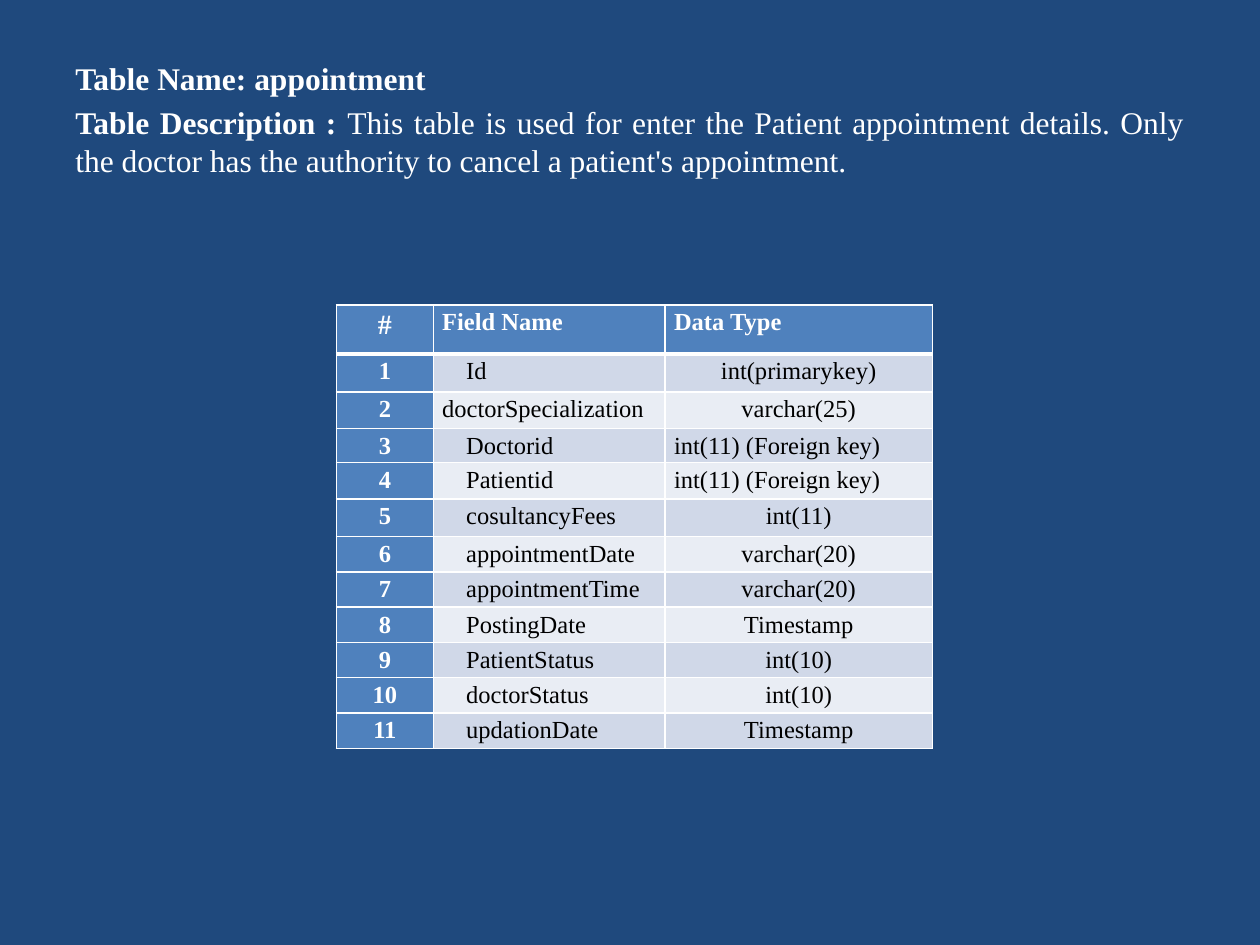
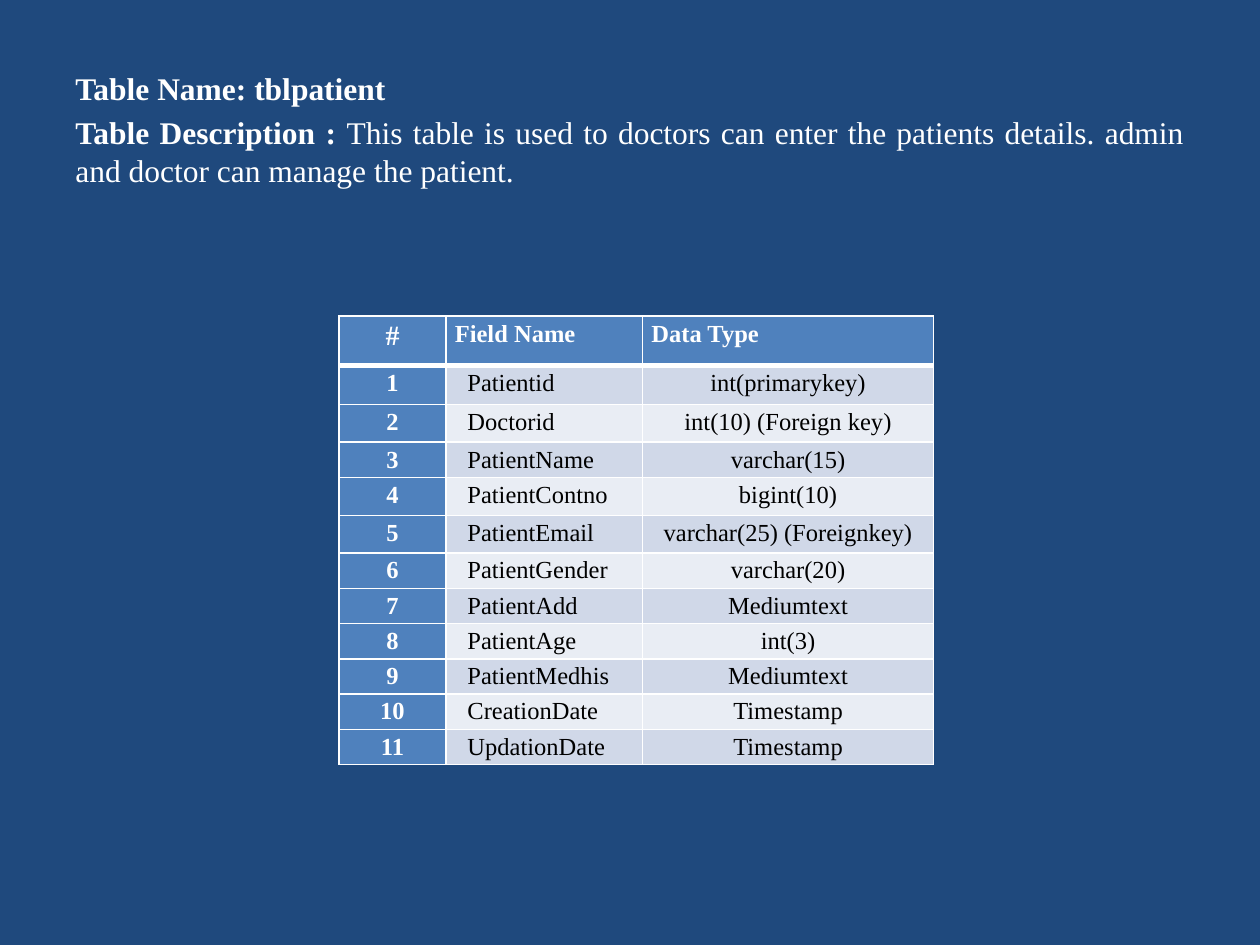
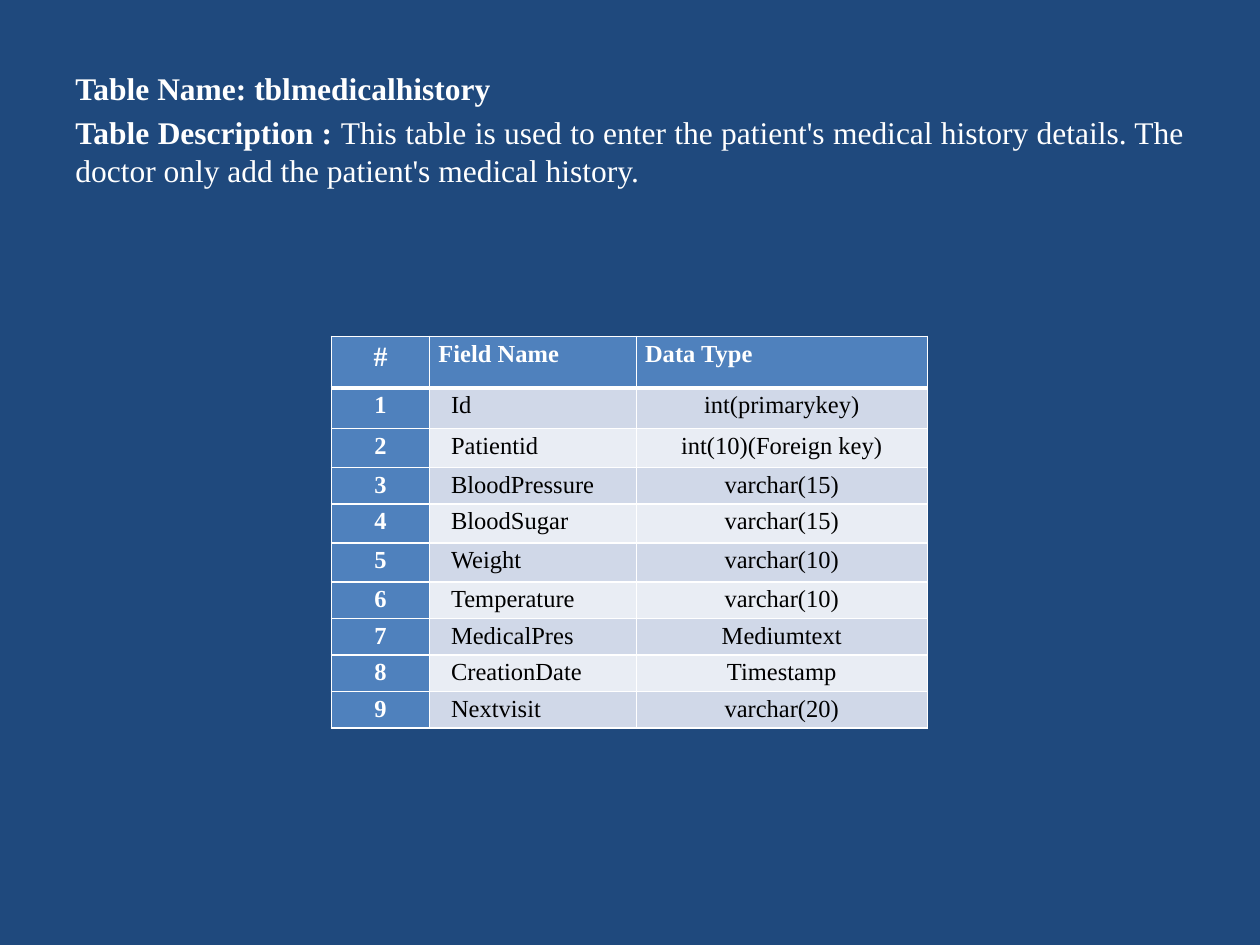
import pptx
import pptx.dml.color
import pptx.enum.text
import pptx.oxml
import pptx.oxml.ns
import pptx.util

Inches = pptx.util.Inches
Pt = pptx.util.Pt
ALIGN = pptx.enum.text.PP_ALIGN

COLORS = {
    "background": "1F497D",
    "header": "4F81BD",
    "odd_row": "D0D8E8",
    "even_row": "E9EDF4",
    "light": "FFFFFF",
    "dark": "000000",
}
HEADINGS = ("#", "Field Name", "Data Type")


class SchemaDeck:
    """Holds the shared style and the current slide."""

    font_name = "Times New Roman"

    def __init__(self):
        self.presentation = pptx.Presentation()
        self.presentation.slide_width = Inches(10)
        self.presentation.slide_height = Inches(7.5)
        self.slide = None

    def color(self, name):
        return pptx.dml.color.RGBColor.from_string(COLORS[name])

    def add_slide(self):
        self.slide = self.presentation.slides.add_slide(self.presentation.slide_layouts[6])
        fill = self.slide.background.fill
        fill.solid()
        fill.fore_color.rgb = self.color("background")

    def format_run(self, run, size, color, bold):
        run.font.name = self.font_name
        run.font.size = Pt(size)
        run.font.bold = bold
        run.font.color.rgb = self.color(color)

    def add_description(self, table_name, description, top):
        shape = self.slide.shapes.add_textbox(
            Inches(0.5), Inches(top), Inches(9), Inches(6.7 - top))
        text_frame = shape.text_frame
        text_frame.word_wrap = True
        text_frame.text = f"Table Name: {table_name}\nTable Description : "
        text_frame.paragraphs[1].add_run().text = description
        for paragraph in text_frame.paragraphs:
            paragraph.alignment = ALIGN.JUSTIFY
            paragraph.space_before = Pt(3.6)
            for index, run in enumerate(paragraph.runs):
                self.format_run(run, 18, "light", bold=index == 0)

    def add_borders(self, cell, row):
        widths = {"L": 1, "R": 1, "T": 3 if row == 1 else 1, "B": 3 if row == 0 else 1}
        properties = cell._tc.get_or_add_tcPr()
        for side, width in widths.items():
            properties.append(pptx.oxml.parse_xml(
                f'<a:ln{side} {pptx.oxml.ns.nsdecls("a")} w="{Pt(width)}">'
                f'<a:solidFill><a:srgbClr val="{COLORS["light"]}"/></a:solidFill>'
                f'</a:ln{side}>'))

    def fill_cell(self, cell, text, row, column, alignment, indent):
        heading = row == 0 or column == 0
        self.add_borders(cell, row)
        cell.fill.solid()
        band = "odd_row" if row % 2 else "even_row"
        cell.fill.fore_color.rgb = self.color("header" if heading else band)
        cell.margin_left = Inches(0.07 + indent)
        cell.margin_right = Inches(0.07)
        cell.margin_top = cell.margin_bottom = 0
        cell.text_frame.text = text
        paragraph = cell.text_frame.paragraphs[0]
        paragraph.alignment = alignment
        paragraph.line_spacing = 1.15
        size = 16 if row == column == 0 else 14
        self.format_run(paragraph.runs[0], size, "light" if heading else "dark", heading)

    def add_field_table(self, left, top, widths, heights, fields, indent,
                        flush_names=(), left_types=()):
        rows = [HEADINGS] + [(str(number), *field) for number, field in enumerate(fields, 1)]
        # The last height given holds for all remaining rows
        heights = heights + heights[-1:] * (len(rows) - len(heights))
        table = self.slide.shapes.add_table(
            len(rows), len(widths), Inches(left), Inches(top),
            Inches(sum(widths)), Inches(sum(heights))).table
        table.horz_banding = False
        for column, width in enumerate(widths):
            table.columns[column].width = Inches(width)
        for row, (height, texts) in enumerate(zip(heights, rows)):
            table.rows[row].height = Inches(height)
            for column, text in enumerate(texts):
                centered = column == 0 or (column == 2 and row > 0 and text not in left_types)
                indented = column == 1 and row > 0 and text not in flush_names
                self.fill_cell(table.cell(row, column), text, row, column,
                               ALIGN.CENTER if centered else ALIGN.LEFT,
                               indent if indented else 0)


def main():
    deck = SchemaDeck()

    # Appointments
    deck.add_slide()
    deck.add_description(
        "appointment",
        "This table is used for enter the Patient appointment details. "
        "Only the doctor has the authority to cancel a patient's appointment.", top=0.42)
    deck.add_field_table(
        2.67, 2.42, [0.77, 1.84, 2.12], [0.39, 0.3, 0.29, 0.27, 0.29, 0.3, 0.28],
        [
            ("Id", "int(primarykey)"),
            ("doctorSpecialization", "varchar(25)"),
            ("Doctorid", "int(11) (Foreign key)"),
            ("Patientid", "int(11) (Foreign key)"),
            ("cosultancyFees", "int(11)"),
            ("appointmentDate", "varchar(20)"),
            ("appointmentTime", "varchar(20)"),
            ("PostingDate", "Timestamp"),
            ("PatientStatus", "int(10)"),
            ("doctorStatus", "int(10)"),
            ("updationDate", "Timestamp"),
        ],
        indent=0.19, flush_names=("doctorSpecialization",),
        left_types=("int(11) (Foreign key)",))

    # Patients
    deck.add_slide()
    deck.add_description(
        "tblpatient",
        "This table is used to doctors can enter the patients details. "
        "admin and doctor can manage the patient.", top=0.5)
    deck.add_field_table(
        2.69, 2.51, [0.85, 1.56, 2.31], [0.39, 0.31, 0.3, 0.28, 0.3, 0.3, 0.28],
        [
            ("Patientid", "int(primarykey)"),
            ("Doctorid", "int(10) (Foreign key)"),
            ("PatientName", "varchar(15)"),
            ("PatientContno", "bigint(10)"),
            ("PatientEmail", "varchar(25) (Foreignkey)"),
            ("PatientGender", "varchar(20)"),
            ("PatientAdd", "Mediumtext"),
            ("PatientAge", "int(3)"),
            ("PatientMedhis", "Mediumtext"),
            ("CreationDate", "Timestamp"),
            ("UpdationDate", "Timestamp"),
        ],
        indent=0.1)

    # Medical history
    deck.add_slide()
    deck.add_description(
        "tblmedicalhistory",
        "This table is used to enter the patient's medical history details. "
        "The doctor only add the patient's medical history.", top=0.5)
    deck.add_field_table(
        2.63, 2.67, [0.78, 1.64, 2.31], [0.41, 0.32, 0.31, 0.29, 0.31, 0.31, 0.29],
        [
            ("Id", "int(primarykey)"),
            ("Patientid", "int(10)(Foreign key)"),
            ("BloodPressure", "varchar(15)"),
            ("BloodSugar", "varchar(15)"),
            ("Weight", "varchar(10)"),
            ("Temperature", "varchar(10)"),
            ("MedicalPres", "Mediumtext"),
            ("CreationDate", "Timestamp"),
            ("Nextvisit", "varchar(20)"),
        ],
        indent=0.1)

    deck.presentation.save("out.pptx")


if __name__ == "__main__":
    main()
